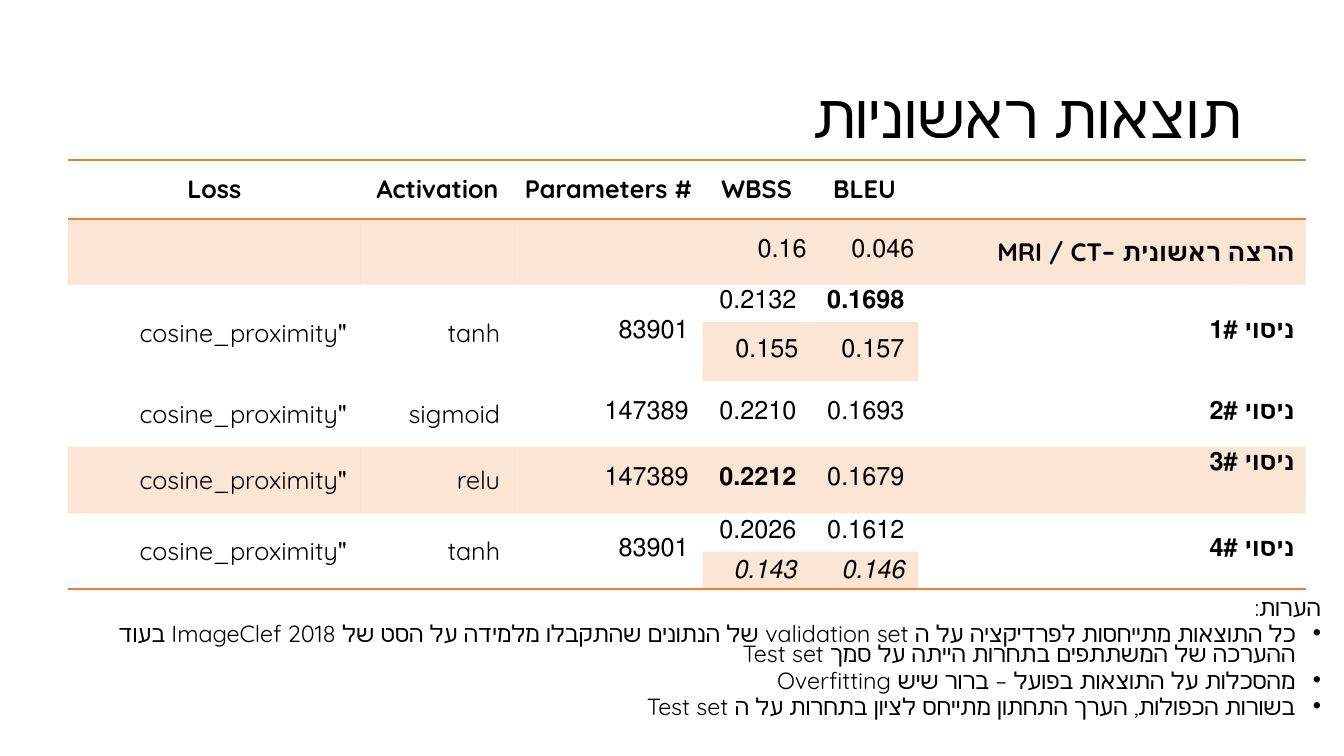
from dataclasses import dataclass

from lxml import etree
from pptx import Presentation
from pptx import util as u
from pptx.dml import color
from pptx.enum import text
from pptx.oxml import ns


@dataclass(frozen=True)
class Theme:
    font: str = "Quicksand"
    number_font: str = "Helvetica"
    ink: str = "000000"
    accent: str = "ED7D31"
    tint: int = 20
    title_size: float = 44
    table_size: float = 18
    note_size: float = 16.7


THEME = Theme()
PLAIN_TABLE = "{2D5ABB26-0587-4C30-8999-92F81FD0307C}"
HEADERS = ["Loss", "Activation", "# Parameters", "WBSS", "BLEU", ""]
LOSS = '"cosine_proximity'
RESULTS = [
    ["", "", "", "0.16", "0.046", "הרצה ראשונית –MRI / CT"],
    [LOSS, "tanh", "83901", "0.2132", "0.1698", "ניסוי 1#"],
    ["", "", "", "0.155", "0.157", ""],
    [LOSS, "sigmoid", "147389", "0.2210", "0.1693", "ניסוי 2#"],
    [LOSS, "relu", "147389", "0.2212", "0.1679", "ניסוי 3#"],
    [LOSS, "tanh", "83901", "0.2026", "0.1612", "ניסוי 4#"],
    ["", "", "", "0.143", "0.146", ""],
]
COLUMN_WIDTHS = [2.91, 1.52, 1.87, 1.07, 1.07, 3.84]
ROW_HEIGHTS = [0.58, 0.65, 0.37, 0.59, 0.65, 0.66, 0.38, 0.37]
DOUBLE_ROWS = (2, 6)
SCORE_COLUMNS = (3, 4)
LABEL_COLUMN = 5
BEST_SCORES = {(2, 4), (5, 3)}
NOTES = [
    "הערות:",
    "כל התוצאות מתייחסות לפרדיקציה על ה validation set של הנתונים שהתקבלו "
    "מלמידה על הסט של ImageClef 2018 בעוד ההערכה של המשתתפים בתחרות הייתה על סמך Test set",
    "מהסכלות על התוצאות בפועל – ברור שיש Overfitting",
    "בשורות הכפולות, הערך התחתון מתייחס לציון בתחרות על ה Test set",
]


def format_para(para, size, align=text.PP_ALIGN.RIGHT, rtl=True, script_font=THEME.font):
    para.alignment = align
    para._p.get_or_add_pPr().set("rtl", str(int(rtl)))
    for font in [para.font] + [span.font for span in para.runs]:
        font.name = THEME.font
        font.size = u.Pt(size)
        font.color.rgb = color.RGBColor.from_string(THEME.ink)
        script = etree.SubElement(font._element, ns.qn("a:cs"))
        script.set("typeface", script_font)


def add_bullet(para):
    properties = para._p.get_or_add_pPr()
    properties.set("marL", str(u.Inches(0.25)))
    properties.set("indent", str(-u.Inches(0.25)))
    etree.SubElement(properties, ns.qn("a:buFont")).set("typeface", "Arial")
    etree.SubElement(properties, ns.qn("a:buChar")).set("char", "•")


def add_border(cell, side):
    properties = cell._tc.get_or_add_tcPr()
    line = etree.SubElement(properties, ns.qn(f"a:ln{side}"), w=str(u.Pt(1.5)))
    fill = etree.SubElement(line, ns.qn("a:solidFill"))
    etree.SubElement(fill, ns.qn("a:srgbClr"), val=THEME.accent)


def fill_tint(cell):
    cell.fill.solid()
    cell.fill.fore_color.rgb = color.RGBColor.from_string(THEME.accent)
    accent = cell._tc.tcPr.find(ns.qn("a:solidFill")).find(ns.qn("a:srgbClr"))
    etree.SubElement(accent, ns.qn("a:alpha"), val=str(THEME.tint * 1000))


def set_margins(cell, left, right, vertical):
    cell.margin_left, cell.margin_right = u.Inches(left), u.Inches(right)
    cell.margin_top = cell.margin_bottom = u.Inches(vertical)


def format_cell(cell, row, column, words):
    is_header, is_label = row == 0, column == LABEL_COLUMN
    is_score = column in SCORE_COLUMNS
    cell.vertical_anchor = text.MSO_ANCHOR.MIDDLE
    if is_header:
        set_margins(cell, 0.09, 0.09, 0.05)
    elif is_label:
        set_margins(cell, 0.11, 0.11, 0.05)
    elif row == 1:
        set_margins(cell, 0.1, 0.04, 0.17)
    else:
        set_margins(cell, 0.14, 0.14, 0.04)
    if (row, column) == (3, 3):
        set_margins(cell, 0.1, 0.12, 0.14)
    if (row, column) == (5, LABEL_COLUMN):
        cell.vertical_anchor = text.MSO_ANCHOR.TOP

    para = cell.text_frame.paragraphs[0]
    para.text = words
    format_para(
        para,
        THEME.table_size,
        text.PP_ALIGN.CENTER if is_header else text.PP_ALIGN.RIGHT,
        words != "BLEU",
        THEME.font if row < 2 and not is_score else THEME.number_font,
    )
    para.font.bold = is_header or is_label or (row, column) in BEST_SCORES
    para.font.italic = row == 7
    for span in para.runs:
        span.font.bold, span.font.italic = para.font.bold, para.font.italic

    if is_header:
        add_border(cell, "T")
    if is_header or row == 7 or (row == 6 and not is_score):
        add_border(cell, "B")
    if row in (1, 5) or (row in (3, 7) and is_score):
        fill_tint(cell)


def add_results(page):
    frame = page.shapes.add_table(
        len(ROW_HEIGHTS), len(COLUMN_WIDTHS),
        u.Inches(0.67), u.Inches(1.59),
        u.Inches(sum(COLUMN_WIDTHS)), u.Inches(sum(ROW_HEIGHTS)),
    )
    table = frame.table
    table.first_row = table.horz_banding = False
    table._tbl.tblPr.find(ns.qn("a:tableStyleId")).text = PLAIN_TABLE
    for column, width in zip(table.columns, COLUMN_WIDTHS):
        column.width = u.Inches(width)
    for row, height in zip(table.rows, ROW_HEIGHTS):
        row.height = u.Inches(height)
    for row, values in enumerate([HEADERS] + RESULTS):
        for column, words in enumerate(values):
            format_cell(table.cell(row, column), row, column, words)
    for row in DOUBLE_ROWS:
        for column in range(len(COLUMN_WIDTHS)):
            if column not in SCORE_COLUMNS:
                table.cell(row, column).merge(table.cell(row + 1, column))


def add_title(page, words):
    title = page.shapes.title
    title.left, title.top = u.Inches(0.92), u.Inches(0.4)
    title.width, title.height = u.Inches(11.5), u.Inches(1.45)
    title.text_frame.vertical_anchor = text.MSO_ANCHOR.MIDDLE
    title.text_frame.text = words
    format_para(title.text_frame.paragraphs[0], THEME.title_size)


def add_notes(page):
    box = page.shapes.add_textbox(u.Inches(0.92), u.Inches(5.91), u.Inches(12.28), u.Inches(1.4))
    frame = box.text_frame
    frame.word_wrap = True
    for index, words in enumerate(NOTES):
        para = frame.add_paragraph() if index else frame.paragraphs[0]
        para.text = words
        para.line_spacing = 0.7
        if index:
            para.space_before = u.Pt(5)
            add_bullet(para)
        format_para(para, THEME.note_size)


def main():
    deck = Presentation()
    deck.slide_width, deck.slide_height = u.Inches(13.33), u.Inches(7.5)
    page = deck.slides.add_slide(deck.slide_layouts[5])
    add_title(page, "תוצאות ראשוניות")
    add_results(page)
    add_notes(page)
    deck.save("out.pptx")


if __name__ == "__main__":
    main()
